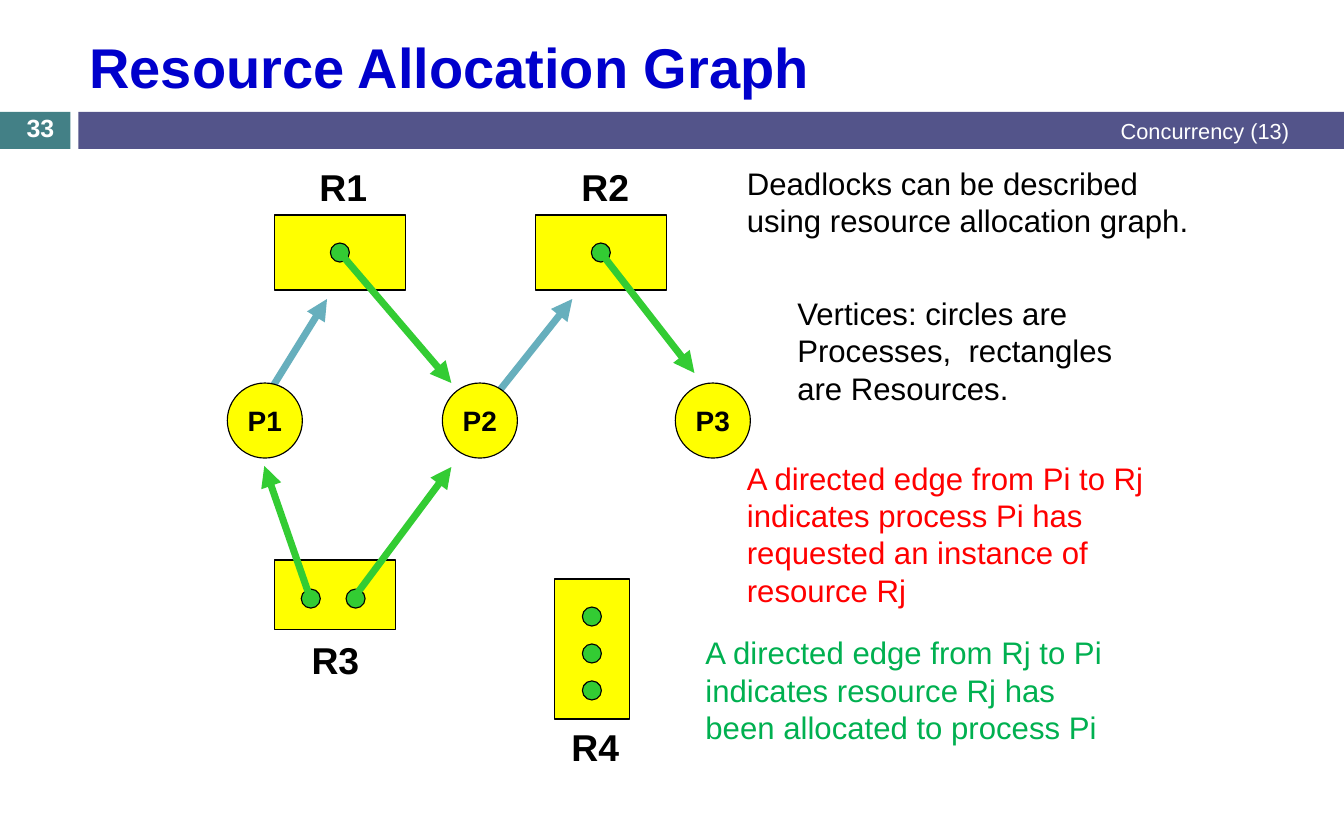
from lxml import etree
from pptx import Presentation
from pptx.dml.color import RGBColor
from pptx.enum.shapes import MSO_CONNECTOR, MSO_SHAPE
from pptx.enum.text import MSO_ANCHOR, PP_ALIGN
from pptx.oxml.ns import qn
from pptx.util import Inches, Pt

RECT, OVAL = MSO_SHAPE.RECTANGLE, MSO_SHAPE.OVAL
LINE = MSO_CONNECTOR.STRAIGHT
TOP, MIDDLE = MSO_ANCHOR.TOP, MSO_ANCHOR.MIDDLE
LEFT, CENTER, RIGHT = PP_ALIGN.LEFT, PP_ALIGN.CENTER, PP_ALIGN.RIGHT

COLORS = {
    "teal": "438086", "indigo": "53548A", "title": "0000CC",
    "request": "67AFBD", "assign": "33CC33", "node": "FFFF00",
    "black": "000000", "white": "FFFFFF", "red": "FF0000", "green": "00B050",
}
FONT = "Arial"
NODE, DOT = 0.67, 0.17


def color(name):
    return RGBColor.from_string(COLORS[name])


class Board:
    """Holds the slide and draws each kind of element in the deck's style."""

    def __init__(self, slide):
        self.shapes = slide.shapes

    def label(self, frame, text, size, ink, bold, align, anchor, wrap):
        frame.word_wrap = wrap
        frame.vertical_anchor = anchor
        para = frame.paragraphs[0]
        para.text = text
        para.alignment = align
        font = para.font
        font.name, font.size, font.bold = FONT, Pt(size), bold
        font.color.rgb = color(ink)

    def text(self, text, x, y, w, h, size=20, ink="black", bold=False,
             align=LEFT, anchor=TOP, wrap=True):
        box = self.shapes.add_textbox(Inches(x), Inches(y), Inches(w), Inches(h))
        self.label(box.text_frame, text, size, ink, bold, align, anchor, wrap)

    def shape(self, kind, x, y, w, h, fill, edge=True):
        shape = self.shapes.add_shape(
            kind, Inches(x), Inches(y), Inches(w), Inches(h))
        shape.shadow.inherit = False
        shape.fill.solid()
        shape.fill.fore_color.rgb = color(fill)
        if edge:
            shape.line.color.rgb = color("black")
            shape.line.width = Pt(0.75)
        else:
            shape.line.fill.background()
        return shape

    def process(self, name, x, y):
        shape = self.shape(OVAL, x, y, NODE, NODE, "node")
        self.label(shape.text_frame, name, 18, "black", True, CENTER, MIDDLE, False)

    def resource(self, name, box, spot):
        self.shape(RECT, *box, "node")
        self.text(name, *spot, 0.63, 0.5, size=24, bold=True,
                  align=CENTER, anchor=MIDDLE, wrap=False)

    def dot(self, x, y):
        self.shape(OVAL, x, y, DOT, DOT, "assign")

    def arrow(self, x1, y1, x2, y2, ink):
        link = self.shapes.add_connector(
            LINE, Inches(x1), Inches(y1), Inches(x2), Inches(y2))
        link.line.color.rgb = color(ink)
        link.line.width = Pt(4.5)
        props = link._element.spPr
        etree.SubElement(props.get_or_add_ln(), qn("a:tailEnd"), type="triangle")
        etree.SubElement(props, qn("a:effectLst"))


def main():
    deck = Presentation()
    deck.slide_width, deck.slide_height = Inches(12), Inches(7.5)
    board = Board(deck.slides.add_slide(deck.slide_layouts[6]))

    # Header
    board.shape(RECT, 0, 1, 0.63, 0.33, "teal", edge=False)
    board.shape(RECT, 0.7, 1, 11.3, 0.33, "indigo", edge=False)
    board.text("Resource Allocation Graph", 0.7, 0.19, 10.91, 0.8, size=36,
               ink="title", bold=True, anchor=MIDDLE)
    board.text("Concurrency (13)", 4.5, 0.99, 7.11, 0.35, size=14,
               ink="white", align=RIGHT, anchor=MIDDLE)
    board.text("33", 0, 0.99, 0.72, 0.3, size=16, ink="white", bold=True,
               align=CENTER, anchor=MIDDLE)

    # Graph: requests lie behind the nodes, assignments in front
    for ends in ((2.43, 3.46, 2.92, 2.67), (4.45, 3.5, 5.11, 2.67)):
        board.arrow(*ends, "request")

    for name, x in (("P1", 2.03), ("P2", 3.95), ("P3", 6.03)):
        board.process(name, x, 3.42)

    for name, box, spot in (
        ("R1", (2.45, 1.92, 1.17, 0.67), (2.75, 1.42)),
        ("R2", (4.78, 1.92, 1.17, 0.67), (5.09, 1.42)),
        ("R3", (2.45, 5, 1.08, 0.62), (2.68, 5.64)),
        ("R4", (4.95, 5.17, 0.67, 1.25), (5, 6.42)),
    ):
        board.resource(name, box, spot)

    for x, y in ((2.95, 2.17), (5.28, 2.17), (2.69, 5.26), (3.09, 5.26)):
        board.dot(x, y)
    for row in range(3):
        board.dot(5.2, 5.42 + row * 0.33)

    for ends in (
        (3.03, 2.25, 4.03, 3.42),
        (5.36, 2.25, 6.2, 3.33),
        (3.15, 5.35, 4.03, 4.17),
        (2.78, 5.37, 2.36, 4.16),
    ):
        board.arrow(*ends, "assign")

    # Notes on the right
    board.text("Deadlocks can be described using resource allocation graph.",
               6.57, 1.42, 4.22, 0.77)
    board.text("Vertices: circles are Processes,  rectangles are Resources.",
               7.02, 2.58, 3.25, 1.11)
    board.text("A directed edge from Pi to Rj indicates process Pi has "
               "requested an instance of resource Rj",
               6.57, 4.05, 3.79, 1.43, ink="red")
    board.text("A directed edge from Rj to Pi indicates resource Rj has "
               "been allocated to process Pi",
               6.2, 5.61, 3.79, 1.11, ink="green")

    deck.save("out.pptx")


if __name__ == "__main__":
    main()
